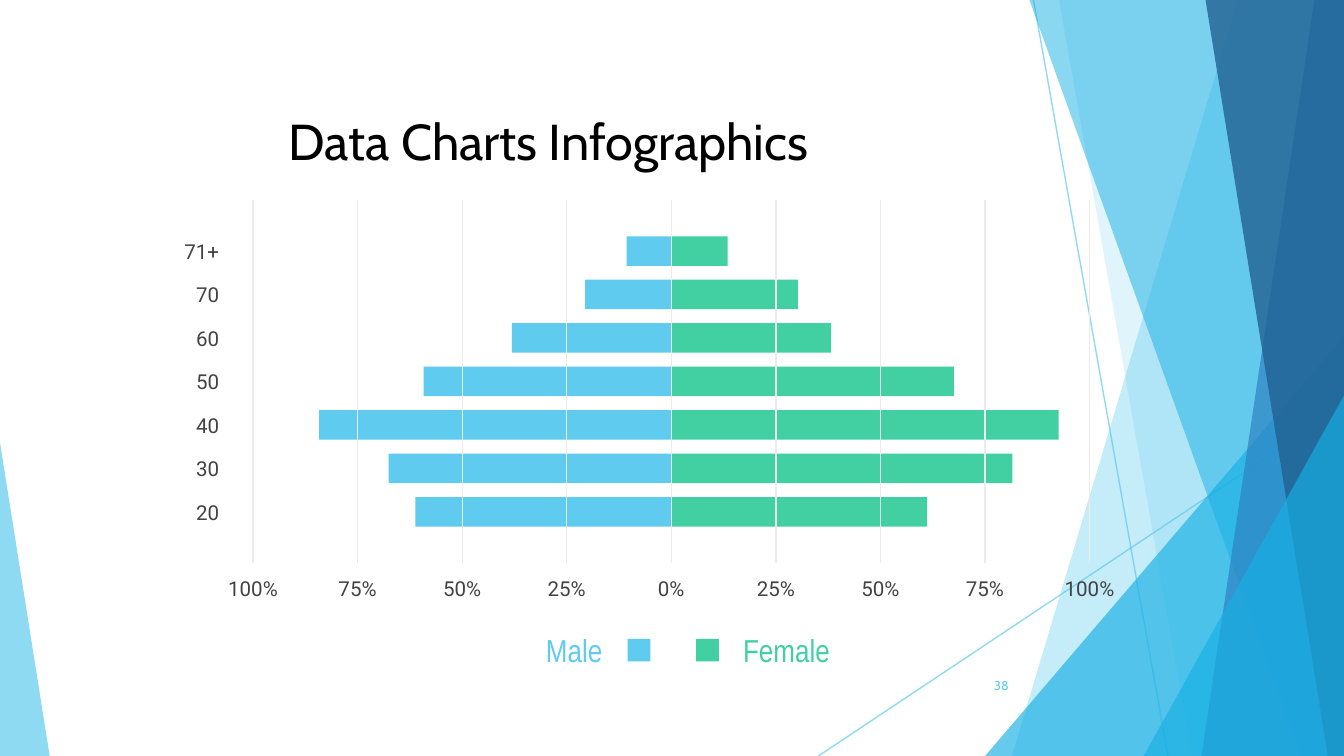
from lxml.etree import SubElement
from pptx import Presentation
from pptx.dml.color import RGBColor
from pptx.enum.shapes import MSO_CONNECTOR, MSO_SHAPE
from pptx.enum.text import MSO_ANCHOR, PP_ALIGN
from pptx.oxml.ns import qn
from pptx.util import Inches, Pt

WIDTH = 10
HEIGHT = WIDTH * 9 / 16
SKY = RGBColor(0x5F, 0xCB, 0xEF)
CYAN = RGBColor(0x17, 0xB0, 0xE4)
BLUE = RGBColor(0x2E, 0x83, 0xC3)
NAVY = RGBColor(0x22, 0x62, 0x92)
GREEN = RGBColor(0x42, 0xD0, 0xA2)
RULE = RGBColor(0xEB, 0xEB, 0xEB)
INK = RGBColor(0x43, 0x43, 0x43)
BLACK = RGBColor(0, 0, 0)

AXIS, TICK_STEP = 49.95, 7.78
FIRST_ROW, ROW_STEP, BAR_HEIGHT = 31.25, 5.75, 3.91
LABEL_WIDTH = 5.7
POPULATION = [
    ("71+", 10.7, 13.5),
    ("70", 20.6, 30.3),
    ("60", 38.1, 38.2),
    ("50", 59.2, 67.6),
    ("40", 84.2, 92.6),
    ("30", 67.6, 81.6),
    ("20", 61.2, 61.2),
]
BANDS = [
    (92.1, 100, 75.3, SKY, 36),
    (78.8, 100, 88.7, SKY, 20),
    (76.6, 100, 96.8, CYAN, 50),
    (97.8, 100, 89.4, BLUE, 70),
    (89.7, 100, 98.8, NAVY, 80),
]


def across(percent):
    """Turn a percentage of the slide's width into a length."""
    return Inches(WIDTH * percent / 100)


def down(percent):
    """Turn a percentage of the slide's height into a length."""
    return Inches(HEIGHT * percent / 100)


def set_opacity(element, percent):
    """Make every colour of an element partly transparent."""
    for color in element.spPr.iter(qn("a:srgbClr")):
        SubElement(color, qn("a:alpha")).set("val", str(percent * 1000))


def paint(shape, color, opacity=100):
    """Give a shape a flat fill without line or shadow."""
    shape.shadow.inherit = False
    shape.fill.solid()
    shape.fill.fore_color.rgb = color
    shape.line.fill.background()
    if opacity < 100:
        set_opacity(shape._element, opacity)


def add_block(slide, left, top, width, height, color):
    """Add a plain rectangle."""
    block = slide.shapes.add_shape(
        MSO_SHAPE.RECTANGLE, across(left), down(top), across(width), down(height))
    paint(block, color)


def add_line(slide, start, end, color, opacity=100):
    """Add a thin straight line."""
    line = slide.shapes.add_connector(
        MSO_CONNECTOR.STRAIGHT,
        across(start[0]), down(start[1]), across(end[0]), down(end[1]))
    line.line.color.rgb = color
    line.line.width = Pt(0.75)
    SubElement(line._element.spPr, qn("a:effectLst"))
    if opacity < 100:
        set_opacity(line._element, opacity)


def add_band(slide, top_left, right, bottom_left, color, opacity):
    """Add a slanted band that runs to the right edge of the slide."""
    builder = slide.shapes.build_freeform(across(top_left), 0)
    builder.add_line_segments([
        (across(right), 0),
        (across(right), down(100)),
        (across(bottom_left), down(100)),
    ])
    paint(builder.convert_to_shape(), color, opacity)


def add_corner(slide, left, top, width, apex, color, opacity):
    """Add a triangle that stands on the bottom edge of the slide."""
    corner = slide.shapes.add_shape(
        MSO_SHAPE.ISOSCELES_TRIANGLE,
        across(left), down(top), across(width), down(100 - top))
    corner.adjustments[0] = apex
    paint(corner, color, opacity)


def add_text(slide, text, left, top, width, height, size, color, font,
             align=PP_ALIGN.CENTER, anchor=MSO_ANCHOR.MIDDLE):
    """Add a single line of text."""
    frame = slide.shapes.add_textbox(
        across(left), down(top), across(width), down(height)).text_frame
    frame.word_wrap = align != PP_ALIGN.CENTER
    frame.vertical_anchor = anchor
    frame.margin_left = frame.margin_right = Inches(0.1)
    frame.margin_top = frame.margin_bottom = Inches(0.1)
    paragraph = frame.paragraphs[0]
    paragraph.alignment = align
    run = paragraph.add_run()
    run.text = text
    run.font.size = Pt(size)
    run.font.name = font
    run.font.color.rgb = color


def add_backdrop(slide):
    """Add the translucent facets at the slide's edges."""
    add_line(slide, (76.9, 0), (86.9, 100), SKY, 70)
    add_line(slide, (100, 53.7), (60.9, 100), SKY, 70)
    for band in BANDS[:2]:
        add_band(slide, *band)
    add_corner(slide, 73.3, 44.5, 26.7, 1, CYAN, 66)
    for band in BANDS[2:]:
        add_band(slide, *band)
    add_corner(slide, 85.1, 52.3, 14.9, 1, CYAN, 66)
    add_corner(slide, 0, 58.5, 3.7, 0, SKY, 70)


def add_pyramid(slide):
    """Add the bars, age labels, grid lines and percent scale."""
    for row, (age, male, female) in enumerate(POPULATION):
        top = FIRST_ROW + row * ROW_STEP
        male_width, female_width = (
            share * TICK_STEP / 25 for share in (male, female))
        add_block(slide, AXIS, top, female_width, BAR_HEIGHT, GREEN)
        add_block(slide, AXIS - male_width, top, male_width, BAR_HEIGHT, SKY)
        add_text(slide, age, 11.6, top, LABEL_WIDTH, BAR_HEIGHT, 11, INK,
                 "Roboto", PP_ALIGN.RIGHT)
    for tick in range(-4, 5):
        center = AXIS + tick * TICK_STEP
        add_line(slide, (center, 26.5), (center, 74.5), RULE)
        add_text(slide, f"{abs(tick) * 25}%", center - LABEL_WIDTH / 2, 75.8,
                 LABEL_WIDTH, BAR_HEIGHT, 11, INK, "Roboto")


def add_legend(slide):
    """Add the key for the two sides."""
    for name, key_left, text_left, color, align in (
            ("Male", 46.7, 34, SKY, PP_ALIGN.RIGHT),
            ("Female", 51.8, 54.3, GREEN, PP_ALIGN.LEFT)):
        add_block(slide, key_left, 84.5, 1.7, 3, color)
        add_text(slide, name, text_left, 82.5, 11.8, 6.9, 17, color,
                 "Arial Narrow", align)


def main():
    """Build and save the slide."""
    deck = Presentation()
    deck.slide_width, deck.slide_height = Inches(WIDTH), Inches(HEIGHT)
    slide = deck.slides.add_slide(deck.slide_layouts[6])
    add_backdrop(slide)
    add_text(slide, "Data Charts Infographics", 5.55, 8.9, 70.5, 19.2, 27,
             BLACK, "Cabin")
    add_text(slide, "38", 70.45, 88.7, 5.6, 5.3, 6.8, SKY, "Cabin",
             PP_ALIGN.RIGHT, MSO_ANCHOR.TOP)
    add_pyramid(slide)
    add_legend(slide)
    deck.save("out.pptx")


if __name__ == "__main__":
    main()
